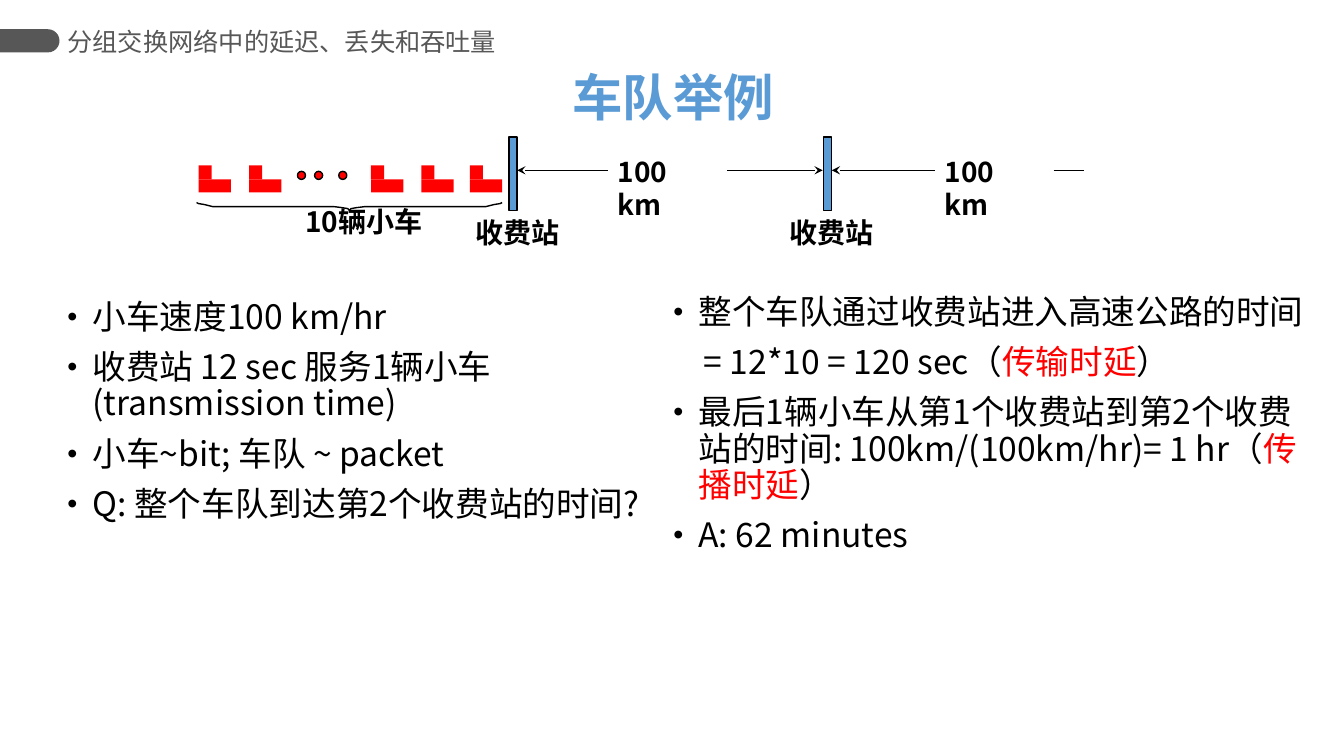
from lxml import etree
from pptx import Presentation
from pptx import util as u
from pptx.dml.color import RGBColor
from pptx.enum import shapes, text
from pptx.oxml.ns import qn

Inches, Pt = u.Inches, u.Pt
FONT = "Noto Sans CJK SC"
BLUE, RED, BLACK, GREY = "5B9BD5", "FF0000", "000000", "575757"
KIND = shapes.MSO_SHAPE

prs = Presentation()
prs.slide_width, prs.slide_height = Inches(13.33), Inches(7.5)
slide = prs.slides.add_slide(prs.slide_layouts[6])


def add_text(box, paragraphs, size, color=BLACK, bold=False, wrap=True):
    """Add a text box; each paragraph is a list of (text, colour or None) runs."""
    frame = slide.shapes.add_textbox(*map(Inches, box)).text_frame
    frame.word_wrap = wrap
    for number, runs in enumerate(paragraphs):
        para = frame.add_paragraph() if number else frame.paragraphs[0]
        for words, run_color in runs:
            run = para.add_run()
            run.text = words
            run.font.size, run.font.bold, run.font.name = Pt(size), bold, FONT
            run.font.color.rgb = RGBColor.from_string(run_color or color)
            east_asian = etree.SubElement(run.font._element, qn("a:ea"))
            east_asian.set("typeface", FONT)
    return frame


def add_solid(kind, box, fill, outlined=False):
    solid = slide.shapes.add_shape(kind, *map(Inches, box))
    solid.shadow.inherit = False
    solid.fill.solid()
    solid.fill.fore_color.rgb = RGBColor.from_string(fill)
    if outlined:
        solid.line.color.rgb = RGBColor.from_string(BLACK)
        solid.line.width = Pt(1)
    else:
        solid.line.fill.background()
    return solid


# Section header and title
tab = add_solid(KIND.ROUND_2_SAME_RECTANGLE, (0.18, 0.11, 0.23, 0.59), GREY)
tab.adjustments[0] = 0.5
tab.rotation = 90
section = add_text((0.67, 0.19, 4.35, 0.44), [[("分组交换网络中的延迟、丢失和吞吐量", None)]], 18, GREY)
section.margin_left = section.margin_right = 0
section.vertical_anchor = text.MSO_ANCHOR.MIDDLE

title = add_text((5.58, 0.67, 2.74, 0.65), [[("车队举例", None)]], 36, BLUE, bold=True)
title.vertical_anchor = text.MSO_ANCHOR.MIDDLE
title.paragraphs[0].line_spacing = 0.9

# Bulleted columns
facts = [
    [("小车速度100 km/hr", None)],
    [("收费站 12 sec 服务1辆小车 (transmission time)", None)],
    [("小车~bit; 车队 ~ packet", None)],
    [("Q: 整个车队到达第2个收费站的时间?", None)],
]
answers = [
    [("整个车队通过收费站进入高速公路的时间", None)],
    [("= 12*10 = 120 sec（", None), ("传输时延", RED), ("）", None)],
    [("最后1辆小车从第1个收费站到第2个收费站的时间: 100km/(100km/hr)= 1 hr（", None),
     ("传播时延", RED), ("）", None)],
    [("A: 62 minutes", None)],
]
for box, column in (((0.57, 2.93, 6.02, 4.32), facts), ((6.58, 2.88, 6.49, 2.93), answers)):
    for number, para in enumerate(add_text(box, column, 24).paragraphs):
        para.line_spacing = 0.9
        if number:
            para.space_before = Pt(10)
        props = para._p.get_or_add_pPr()
        if para.text.startswith("="):
            props.set("marL", str(Inches(0.3)))
            props.set("indent", "0")
            etree.SubElement(props, qn("a:buNone"))
            continue
        props.set("marL", str(Inches(0.25)))
        props.set("indent", str(-Inches(0.25)))
        etree.SubElement(props, qn("a:buSzPct")).set("val", "85000")
        etree.SubElement(props, qn("a:buFont")).set("typeface", "Arial")
        etree.SubElement(props, qn("a:buChar")).set("char", "•")

# Toll booths
for booth_x in (5.05, 8.17):
    add_solid(KIND.RECTANGLE, (booth_x, 1.36, 0.08, 0.73), BLUE, outlined=True)
    booth = add_text((booth_x - 0.44, 2.09, 1.04, 0.44), [[("收费站", None)]], 20,
                     bold=True, wrap=False)
    booth.paragraphs[0].alignment = text.PP_ALIGN.CENTER

# Caravan: cars, dots and brace
for car_x in (1.97, 2.47, 3.68, 4.18, 4.66):
    add_solid(KIND.RECTANGLE, (car_x, 1.78, 0.32, 0.13), RED)
    add_solid(KIND.RECTANGLE, (car_x, 1.64, 0.13, 0.14), RED)
for dot_x in (2.95, 3.12, 3.36):
    add_solid(KIND.OVAL, (dot_x, 1.7, 0.08, 0.08), RED, outlined=True)

left_half = [(1.95, 2.01), (1.97, 2.02), (2.03, 2.03), (2.11, 2.05), (2.2, 2.05),
             (3.22, 2.05), (3.31, 2.05), (3.39, 2.06), (3.45, 2.07), (3.47, 2.09)]
right_half = [(6.93 - x, y) for x, y in reversed(left_half[:-1])]
curve = [(Inches(x), Inches(y)) for x, y in left_half + right_half]
outline = slide.shapes.build_freeform(*curve[0])
outline.add_line_segments(curve[1:], close=False)
brace = outline.convert_to_shape()
brace.shadow.inherit = False
brace.fill.background()
brace.line.color.rgb = RGBColor.from_string(BLACK)
brace.line.width = Pt(1)
add_text((2.93, 1.98, 1.39, 0.44), [[("10辆小车", None)]], 20, bold=True)

# Distances
for start_x, end_x, arrow in ((6.03, 5.13, True), (7.21, 8.16, True),
                              (9.27, 8.25, True), (10.45, 10.75, False)):
    road = slide.shapes.add_connector(shapes.MSO_CONNECTOR.STRAIGHT, Inches(start_x),
                                      Inches(1.69), Inches(end_x), Inches(1.69))
    road.line.color.rgb = RGBColor.from_string(BLACK)
    road.line.width = Pt(1)
    if arrow:
        etree.SubElement(road.line._get_or_add_ln(), qn("a:tailEnd")).set("type", "stealth")
    etree.SubElement(road._element.spPr, qn("a:effectLst"))
for distance_x in (6.03, 9.27):
    add_text((distance_x, 1.48, 1.18, 0.77), [[("100 km", None)]], 20, bold=True)

prs.save("out.pptx")
